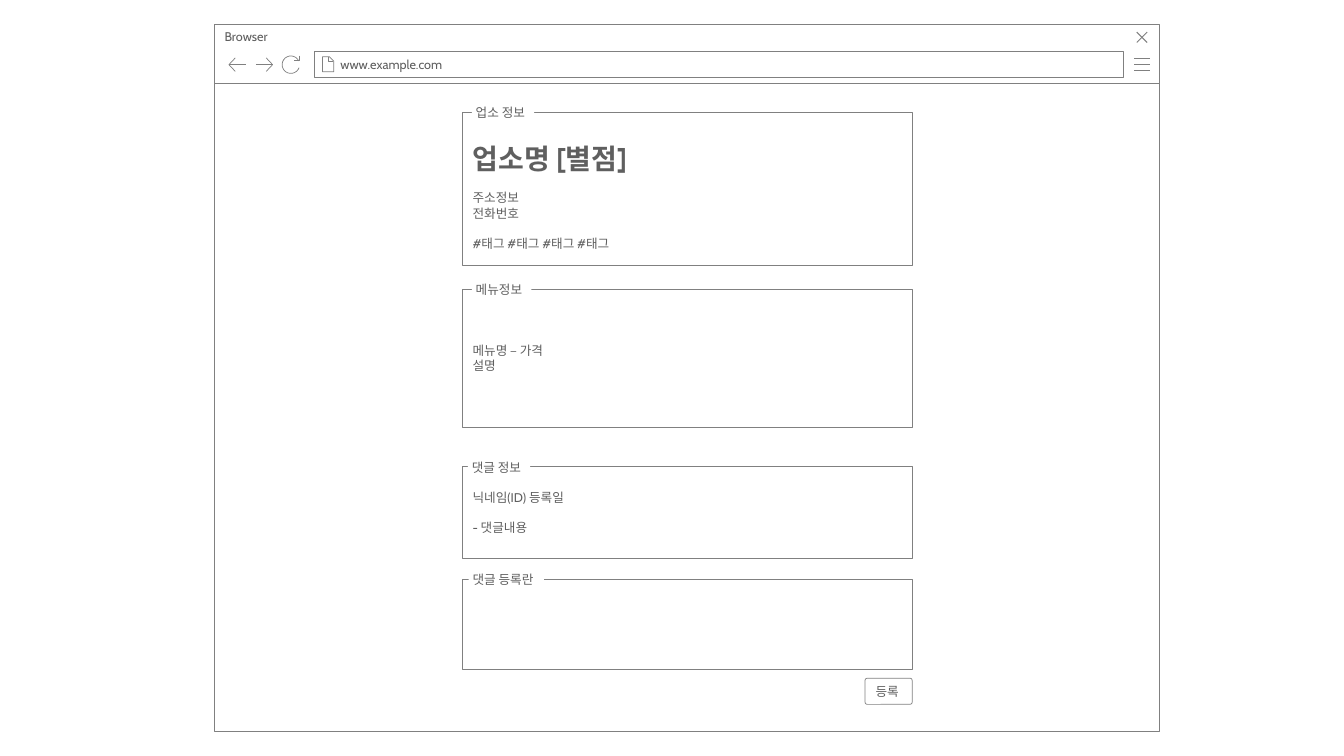
import math

from pptx import Presentation
from pptx import util as u
from pptx.dml import color
from pptx.enum import shapes, text

GRAY, INK, WHITE = "808080", "5F5F5F", "FFFFFF"
LINE_GAP = 10.9
BODY_FONT = {"name": "Cabin", "size": u.Pt(9), "bold": False}
TITLE_FONT = {**BODY_FONT, "size": u.Pt(20), "bold": True}
LABEL_FRAME = {"margin_left": u.Cm(0.1), "margin_right": u.Cm(0.1),
               "margin_top": u.Cm(0.03), "margin_bottom": u.Cm(0.03),
               "word_wrap": False, "auto_size": text.MSO_AUTO_SIZE.SHAPE_TO_FIT_TEXT}


def rgb(hex_string):
    """Turn a hex string into a colour."""
    return color.RGBColor.from_string(hex_string)


def set_values(target, values):
    """Set each named attribute of the target."""
    for name, value in values.items():
        setattr(target, name, value)


def set_outline(shape, width=0.5):
    """Give a shape a thin gray outline without shadow."""
    shape.shadow.inherit = False
    shape.line.color.rgb = rgb(GRAY)
    shape.line.width = u.Pt(width)


def add_box(slide, box, lines=(), frame=None, outlined=True,
            kind=shapes.MSO_SHAPE.RECTANGLE):
    """Add a white box; each line is its words, font and space before in points."""
    shape = slide.shapes.add_shape(kind, *map(u.Cm, box))
    set_outline(shape)
    if not outlined:
        shape.line.fill.background()
    shape.fill.solid()
    shape.fill.fore_color.rgb = rgb(WHITE)
    text_frame = shape.text_frame
    set_values(text_frame, {"word_wrap": True,
                            "vertical_anchor": text.MSO_ANCHOR.MIDDLE, **(frame or {})})
    for index, (words, font, space) in enumerate(lines):
        paragraph = text_frame.add_paragraph() if index else text_frame.paragraphs[0]
        set_values(paragraph, {"alignment": text.PP_ALIGN.LEFT, "space_before": u.Pt(space)})
        run = paragraph.add_run()
        run.text = words
        set_values(run.font, font)
        run.font.color.rgb = rgb(INK)
    return shape


def add_icon(slide, left, top, strokes, width=0.5):
    """Draw an icon from strokes of points relative to left and top."""
    placed = [[(u.Cm(left + x), u.Cm(top + y)) for x, y in stroke] for stroke in strokes]
    builder = slide.shapes.build_freeform(*placed[0][0])
    for index, stroke in enumerate(placed):
        if index:
            builder.move_to(*stroke[0])
        builder.add_line_segments(stroke[1:], close=stroke[0] == stroke[-1])
    icon = builder.convert_to_shape()
    icon.fill.background()
    set_outline(icon, width)


def add_browser(slide, left, top, width, height):
    """Draw the browser window with its title bar, address and icons."""
    bar = 1.49
    add_box(slide, (left, top + bar, width, height - bar))
    add_box(slide, (left, top, width, bar), [("Browser", BODY_FONT, 0)],
            {"vertical_anchor": text.MSO_ANCHOR.TOP})
    add_box(slide, (left + 2.51, top + 0.69, 20.4, 0.66),
            [("www.example.com", BODY_FONT, 0)], {"margin_left": u.Cm(0.66)})
    turn = [math.radians(angle) for angle in range(20, 336, 15)]
    icons = {
        "menu": [[(23.17, y), (23.57, y)] for y in (0.86, 1.02, 1.17)],
        "page": [[(2.87, 0.82), (2.87, 0.94), (2.98, 0.94)],
                 [(2.72, 0.82), (2.72, 1.2), (3, 1.2), (3, 0.93), (2.89, 0.82), (2.72, 0.82)]],
        "back": [[(0.52, 0.85), (0.36, 1.02), (0.52, 1.19)], [(0.36, 1.02), (0.79, 1.02)]],
        "forward": [[(1.3, 0.85), (1.46, 1.02), (1.3, 1.19)], [(1.04, 1.02), (1.46, 1.02)]],
        "reload": [[(2.13, 0.79), (2.13, 0.92), (2, 0.92)],
                   [(1.92 + 0.22 * math.cos(a), 1.02 + 0.22 * math.sin(a)) for a in turn]],
    }
    for strokes in icons.values():
        add_icon(slide, left, top, strokes)
    add_icon(slide, left, top, [[(23.5, 0.2), (23.24, 0.46)], [(23.24, 0.2), (23.5, 0.46)]], 0.75)


def add_panel(slide, box, label, label_offset, label_width, lines=(), frame=None):
    """Draw a bordered panel whose label interrupts the top edge."""
    left, top = box[:2]
    add_box(slide, box, lines, frame)
    add_box(slide, (left + label_offset, top - 0.2, label_width, 0.43),
            [(label, BODY_FONT, 0)], LABEL_FRAME, outlined=False)


def add_store_page(slide, left, top, width):
    """Stack the store, menu and comment panels with the submit button."""
    store = [("업소명 [별점]", TITLE_FONT, 0), ("주소정보", BODY_FONT, LINE_GAP),
             ("전화번호", BODY_FONT, 0), ("#태그 #태그 #태그 #태그", BODY_FONT, LINE_GAP)]
    menu = [("메뉴명 – 가격", BODY_FONT, 0), ("설명", BODY_FONT, 0)]
    comment = [("닉네임(ID) 등록일", BODY_FONT, 0), ("- 댓글내용", BODY_FONT, LINE_GAP)]
    add_panel(slide, (left, top, width, 3.86), "업소 정보", 0.23, 1.57, store,
              {"margin_top": u.Cm(0.13) + u.Pt(LINE_GAP)})
    add_panel(slide, (left, top + 4.47, width, 3.48), "메뉴정보", 0.23, 1.5, menu)
    add_panel(slide, (left, top + 8.94, width, 2.31), "댓글 정보", 0.13, 1.57, comment)
    add_panel(slide, (left, top + 11.78, width, 2.26), "댓글 등록란", 0.15, 1.9)
    button = add_box(slide, (left + width - 1.19, top + 14.27, 1.19, 0.66),
                     [("등록", BODY_FONT, 0)],
                     {"auto_size": text.MSO_AUTO_SIZE.SHAPE_TO_FIT_TEXT},
                     kind=shapes.MSO_SHAPE.ROUNDED_RECTANGLE)
    button.adjustments[0] = 0.09


def main():
    """Build and save the wireframe slide."""
    presentation = Presentation()
    set_values(presentation, {"slide_width": u.Cm(33.87), "slide_height": u.Cm(19.05)})
    slide = presentation.slides.add_slide(presentation.slide_layouts[6])
    add_browser(slide, 5.41, 0.61, 23.8, 17.83)
    add_store_page(slide, 11.66, 2.82, 11.33)
    presentation.save("out.pptx")


if __name__ == "__main__":
    main()
